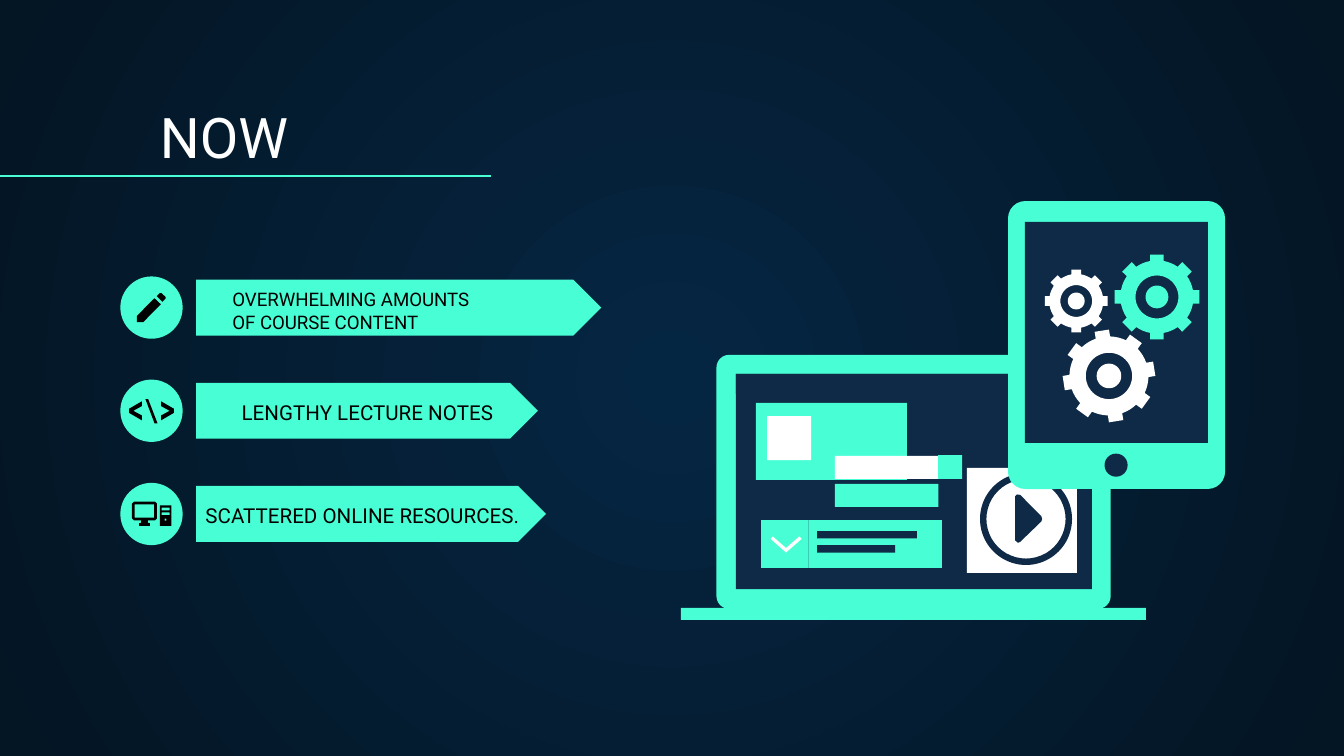
from math import asin, cos, pi, radians, sin

from lxml.etree import SubElement
from pptx import Presentation
from pptx.dml.color import RGBColor
from pptx.enum.shapes import MSO_CONNECTOR, MSO_SHAPE
from pptx.enum.text import MSO_ANCHOR, MSO_AUTO_SIZE, PP_ALIGN
from pptx.oxml.ns import qn
from pptx.util import Pt

# Content: all lengths in points
MINT, NAVY, WHITE, BLACK = "48FFD5", "0E2A47", "FFFFFF", "000000"
BACKGROUND = ("052643", "041523")
TITLE = ("NOW", (78.5, 50.4, 617, 47.5), 30)

# Caption text, font size, caption left, top and width, arrow width
ROWS = [
    ("OVERWHELMING AMOUNTS OF COURSE CONTENT", 10, 117.4, 170.6, 144, 217),
    ("LENGTHY LECTURE NOTES", 11, 122.4, 219.6, 163.4, 183),
    ("SCATTERED ONLINE RESOURCES.", 11, 103, 275, 192.2, 187.4),
]
ROW_TOP, ROW_PITCH, CIRCLE_LEFT, CIRCLE_SIZE = 148.1, 55.3, 64.5, 33.4
ARROW_LEFT, ARROW_HEIGHT, CAPTION_HEIGHT = 105.1, 30, 15.1

RECT, ROUND = MSO_SHAPE.RECTANGLE, MSO_SHAPE.ROUNDED_RECTANGLE
OVAL, RING = MSO_SHAPE.OVAL, MSO_SHAPE.DONUT

# Preset, left, top, width, height, colour, adjustment
LAPTOP = [
    (ROUND, 383.8, 190.1, 211.2, 136.1, MINT, 0.05),
    (RECT, 394.2, 200.3, 190.8, 115.4, NAVY, None),
    (RECT, 364.8, 325.7, 249.1, 6.4, MINT, None),
    (RECT, 394.2, 200.3, 190.8, 10.8, NAVY, None),
    (RECT, 405, 215.9, 80.9, 41.2, MINT, None),
    (RECT, 410.9, 222.9, 23.6, 23.6, WHITE, None),
    (RECT, 433.2, 278.6, 71.4, 25.7, MINT, None),
    (RECT, 437.7, 284.5, 53.5, 3.9, NAVY, None),
    (RECT, 437.7, 292, 41.8, 4.1, NAVY, None),
    (RECT, 407.7, 278.6, 25.5, 25.7, MINT, None),
    (RECT, 447.3, 259.3, 55.5, 12.3, MINT, None),
    (RECT, 447.3, 244.2, 55.5, 12.4, WHITE, None),
    (RECT, 502.6, 243.8, 12.8, 12.8, MINT, None),
    (RECT, 518, 250.7, 58.9, 56.3, WHITE, None),
    (RING, 525, 253.4, 49.3, 49.3, NAVY, 0.07),
]
TABLET = [
    (ROUND, 540, 107.7, 116.3, 154.3, MINT, 0.08),
    (RECT, 549.1, 118.9, 98, 118.4, NAVY, None),
    (OVAL, 591.7, 243, 12.4, 12.4, NAVY, None),
]
CHECK_MARK = [(412.8, 288.7), (414, 287.4), (421.1, 293.6), (428.2, 287.4),
              (429.5, 288.7), (421.1, 296)]
PLAY_MARK = [(543.8, 266), (544.8, 264.9), (546.6, 265.2), (557.9, 276.6),
             (558.3, 278), (557.9, 279.4), (546.6, 290.3), (545.4, 290.8),
             (543.8, 289.5)]

# Centre, scale, turn in degrees, colour
GEARS = [
    (619.8, 159.1, 1, 0, MINT),
    (576.6, 161.3, 0.74, 0, WHITE),
    (594.1, 201.4, 1.08, -9, WHITE),
]
GEAR_TIP, GEAR_BODY, GEAR_HOLE, GEAR_HUB, TOOTH_HALF, TEETH = 23, 19.6, 11.5, 6.1, 3.6, 8


def rectangle(left, top, width, height):
    return [(left, top), (left + width, top),
            (left + width, top + height), (left, top + height)]


# Icons: each shape is a list of contours
PENCIL = [
    [(84, 158.7), (85.7, 157), (86.6, 157), (88.7, 159.1), (88.7, 160), (87, 161.7)],
    [(73.4, 172.5), (73.4, 169.2), (82.8, 159.8), (86.2, 163), (76.8, 172.5)],
]
BRACKET = [(76, 225.2), (69.1, 221.2), (69.1, 219), (76, 215), (76, 217.6),
           (71.4, 220.1), (76, 222.6)]
SLASH = [(77.9, 213.8), (79.4, 213.8), (84.4, 226.8), (82.8, 226.8)]
MONITOR = [
    [(71.8, 268.7), (83, 268.7), (84.1, 269.8), (84.1, 277.7), (83, 278.8),
     (79.3, 278.8), (79.3, 280.1), (80.3, 280.3), (80.3, 281.7), (74.5, 281.7),
     (74.5, 280.3), (75.6, 280.1), (75.6, 278.8), (71.8, 278.8),
     (70.7, 277.7), (70.7, 269.8)],
    rectangle(72.2, 270.2, 10.4, 7.1),
]
TOWER = [rectangle(85.7, 270.7, 6.1, 11.1), rectangle(86.6, 272, 4.3, 1.5),
         rectangle(86.6, 274.5, 4.3, 1.5), rectangle(88.2, 277.9, 1, 1)]
MIRRORED_BRACKET = [(2 * 81.15 - x, y) for x, y in BRACKET]
ICONS = [PENCIL, [BRACKET], [SLASH], [MIRRORED_BRACKET], MONITOR, TOWER]


def color(value):
    return RGBColor.from_string(value)


def paint(shape, fill):
    shape.shadow.inherit = False
    shape.fill.solid()
    shape.fill.fore_color.rgb = color(fill)
    shape.line.fill.background()


def add_preset(slide, preset, left, top, width, height, fill, adjustment=None):
    shape = slide.shapes.add_shape(preset, Pt(left), Pt(top), Pt(width), Pt(height))
    if adjustment is not None:
        shape.adjustments[0] = adjustment
    paint(shape, fill)


def add_outline(slide, contours, fill):
    builder = None
    for contour in contours:
        points = [(Pt(x), Pt(y)) for x, y in contour]
        if builder is None:
            builder = slide.shapes.build_freeform(*points[0])
        else:
            builder.move_to(*points[0])
        builder.add_line_segments(points[1:], close=True)
    paint(builder.convert_to_shape(), fill)


def write(box, text, size, ink):
    frame = box.text_frame
    frame.word_wrap = True
    frame.auto_size = MSO_AUTO_SIZE.NONE
    frame.vertical_anchor = MSO_ANCHOR.BOTTOM
    frame.margin_left = frame.margin_right = Pt(7.2)
    frame.margin_top = frame.margin_bottom = Pt(7.2)
    para = frame.paragraphs[0]
    para.alignment = PP_ALIGN.LEFT
    span = para.add_run()
    span.text = text
    span.font.name, span.font.size = "Roboto", Pt(size)
    span.font.color.rgb = color(ink)


def gear_contours(center_x, center_y, scale, turn):
    def polar(radius, angle):
        return (center_x + scale * radius * sin(angle),
                center_y - scale * radius * cos(angle))

    def circle(radius):
        return [polar(radius, 2 * pi * step / 48) for step in range(48)]

    step = 2 * pi / TEETH
    root, tip = asin(TOOTH_HALF / GEAR_BODY), asin(TOOTH_HALF / GEAR_TIP)
    rim = []
    for tooth in range(TEETH):
        angle = radians(turn) + tooth * step
        rim += [polar(GEAR_BODY, angle - root), polar(GEAR_TIP, angle - tip),
                polar(GEAR_TIP, angle + tip)]
        rim += [polar(GEAR_BODY, angle + root + (step - 2 * root) * part / 4)
                for part in range(4)]
    return [rim, circle(GEAR_HOLE), circle(GEAR_HUB)]


def main():
    deck = Presentation()
    deck.slide_width, deck.slide_height = Pt(720), Pt(405)
    slide = deck.slides.add_slide(deck.slide_layouts[5])

    # Background: circular gradient from the centre
    fill = slide.background.fill
    fill.gradient()
    for stop, value in zip(fill.gradient_stops, BACKGROUND):
        stop.color.rgb = color(value)
    gradient = next(slide.element.iter(qn("a:gradFill")))
    gradient.remove(gradient.find(qn("a:lin")))
    circle = SubElement(gradient, qn("a:path"), {"path": "circle"})
    SubElement(circle, qn("a:fillToRect"), dict.fromkeys("ltrb", "50000"))

    # Title and its rule
    text, place, size = TITLE
    title = slide.shapes.title
    title.left, title.top, title.width, title.height = map(Pt, place)
    write(title, text, size, WHITE)
    rule = slide.shapes.add_connector(MSO_CONNECTOR.STRAIGHT, 0, Pt(94.3), Pt(263), Pt(94.3))
    rule.line.color.rgb, rule.line.width = color(MINT), Pt(0.75)
    SubElement(rule.element.spPr, qn("a:effectLst"))

    # Rows: arrow, caption and circle
    for index, (text, size, left, top, width, arrow_width) in enumerate(ROWS):
        row_top = ROW_TOP + index * ROW_PITCH
        arrow_top = row_top + (CIRCLE_SIZE - ARROW_HEIGHT) / 2
        add_preset(slide, MSO_SHAPE.PENTAGON, ARROW_LEFT, arrow_top,
                   arrow_width, ARROW_HEIGHT, MINT, 0.5)
        box = slide.shapes.add_textbox(Pt(left), Pt(top), Pt(width), Pt(CAPTION_HEIGHT))
        write(box, text, size, BLACK)
        add_preset(slide, OVAL, CIRCLE_LEFT, row_top, CIRCLE_SIZE, CIRCLE_SIZE, MINT)
    for icon in ICONS:
        add_outline(slide, icon, BLACK)

    # Laptop, then the tablet in front of it
    for part in LAPTOP:
        add_preset(slide, *part)
    add_outline(slide, [CHECK_MARK], WHITE)
    add_outline(slide, [PLAY_MARK], NAVY)
    for part in TABLET:
        add_preset(slide, *part)
    for *placement, gear_fill in GEARS:
        add_outline(slide, gear_contours(*placement), gear_fill)

    deck.save("out.pptx")


if __name__ == "__main__":
    main()
